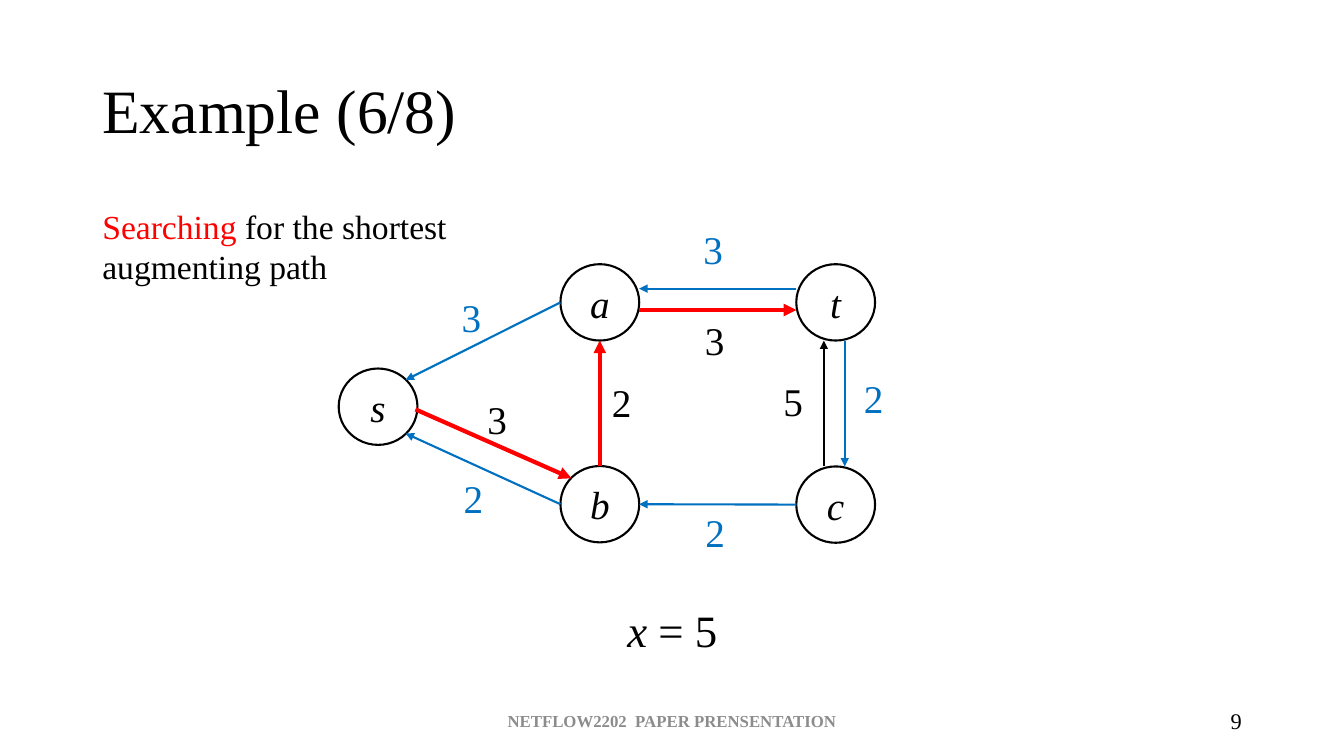
from pptx import Presentation
from pptx.dml.color import RGBColor as Rgb
from pptx.enum.shapes import MSO_CONNECTOR as Link, MSO_SHAPE as Shape
from pptx.enum.text import MSO_ANCHOR as Anchor, PP_ALIGN as Align
from pptx.oxml.ns import qn
from pptx.util import Inches, Pt
from lxml.etree import SubElement as Sub

HUES = {"ink": "000000", "red": "FF0000", "blue": "0070C0", "gray": "8C8C8C"}
FONT = "Times New Roman"
WIDE, HIGH = Inches(13.333), Inches(7.5)

# Nodes: centre in the graph box; all lengths are hundredths of the slide
NODES = {"s": (2.93, 18.85), "a": (19.43, 5.05), "b": (19.43, 31.75),
         "t": (36.98, 5.05), "c": (36.98, 31.8)}
RX, RY = 2.93, 5.05

# Edges: start, port, end, port, hue, label, label shift from the midpoint
# (ports are counted in node radii from the node's centre)
EDGES = [
    ("a", (-1, 0), "s", (0.7, -0.7), "blue", "3", (-2.33, -7)),
    ("b", (-1, 0), "s", (0.7, 0.7), "blue", "2", (-2.18, 0.07)),
    ("c", (-1, 0), "b", (1, 0), "blue", "2", (-1.65, -0.1)),
    ("t", (-1, -0.36), "a", (1, -0.36), "blue", "3", (-1.8, -9)),
    ("t", (0.23, 1), "c", (0.23, -1), "blue", "2", (0.68, -4.45)),
    ("c", (-0.3, -1), "t", (-0.3, 1), "ink", "5", (-3.75, -4.15)),
    ("b", (0, -1), "a", (0, 1), "red", "2", (0.15, -4)),
    ("a", (1, 0.2), "t", (-1, 0.2), "red", "3", (-1.7, 0.15)),
    ("s", (0.95, 0.07), "b", (-0.72, -0.68), "red", "3", (-1.2, -7.1)),
]
# Label hue differs from the edge only on the red path
LABEL_HUE = {"red": "ink"}


def scale(x, y):
    return int(WIDE * x / 100), int(HIGH * y / 100)


def color(hue):
    return Rgb.from_string(HUES[hue])


def write(shape, *runs, size=28, hue="ink", bold=False, align=Align.LEFT,
          anchor=Anchor.TOP, space=None):
    """Fill a shape with one paragraph; a run is (text, own format)."""
    frame = shape.text_frame
    frame.word_wrap = True
    frame.vertical_anchor = anchor
    para = frame.paragraphs[0]
    para.alignment = align
    para.line_spacing = space
    for text, own in runs:
        run = para.add_run()
        run.text = text
        font = run.font
        font.name, font.size, font.bold = FONT, Pt(size), bold
        font.italic = own.get("slant", False)
        font.color.rgb = color(own.get("hue", hue))


def place(slide, box, *runs, **form):
    area = scale(*box[:2]) + scale(*box[2:])
    write(slide.shapes.add_textbox(*area), *runs, **form)


def draw_node(slide, name, x, y):
    area = scale(x - RX, y - RY) + scale(2 * RX, 2 * RY)
    node = slide.shapes.add_shape(Shape.OVAL, *area)
    node.shadow.inherit = False
    node.fill.background()
    node.line.color.rgb = color("ink")
    node.line.width = Pt(1.5)
    write(node, (name, {"slant": True}), align=Align.CENTER,
          anchor=Anchor.MIDDLE)


def draw_edge(slide, start, end, hue):
    edge = slide.shapes.add_connector(Link.STRAIGHT, *scale(*start),
                                      *scale(*end))
    edge.line.color.rgb = color(hue)
    edge.line.width = Pt(3 if hue == "red" else 1.5)
    Sub(edge.line._get_or_add_ln(), qn("a:tailEnd"), type="triangle")
    Sub(edge._element.spPr, qn("a:effectLst"))


def graph(slide, left, top):
    """Network with its flow labels, placed from the box's corner."""
    spots = {name: (left + x, top + y) for name, (x, y) in NODES.items()}

    def port(name, shift):
        x, y = spots[name]
        return x + RX * shift[0], y + RY * shift[1]

    for name, spot in spots.items():
        draw_node(slide, name, *spot)
    for first, out, last, into, hue, label, (dx, dy) in EDGES:
        start, end = port(first, out), port(last, into)
        draw_edge(slide, start, end, hue)
        x, y = ((p + q) / 2 for p, q in zip(start, end))
        place(slide, (x + dx, y + dy, 4.58, 7.6), (label, {}),
              hue=LABEL_HUE.get(hue, hue))


def header(slide, left, top, width):
    """Title and the note below it."""
    place(slide, (left, top, width, 19.33), ("Example (6/8)", {}),
          size=44, anchor=Anchor.MIDDLE, space=0.9)
    place(slide, (left, top + 21.2, 29.25, 12.13),
          ("Searching", {"hue": "red"}),
          (" for the shortest augmenting path", {}), size=24)


def footer(slide, top, height):
    """Talk name in the middle, page number at the right."""
    place(slide, (33.13, top, 33.75, height),
          ("NETFLOW2202  PAPER PRENSENTATION", {}), size=12, hue="gray",
          bold=True, align=Align.CENTER, anchor=Anchor.MIDDLE)
    place(slide, (70.63, top, 22.5, height), ("9", {}), size=16,
          align=Align.RIGHT, anchor=Anchor.MIDDLE)


def main():
    deck = Presentation()
    deck.slide_width, deck.slide_height = WIDE, HIGH
    slide = deck.slides.add_slide(deck.slide_layouts[6])
    header(slide, 6.88, 5.33, 86.25)
    graph(slide, 25.2, 34.95)
    # Flow value
    place(slide, (36.53, 79.07, 27, 8.53), ("x", {"slant": True}),
          (" = 5", {}), size=32, align=Align.CENTER)
    footer(slide, 92.67, 5.33)
    deck.save("out.pptx")


if __name__ == "__main__":
    main()
